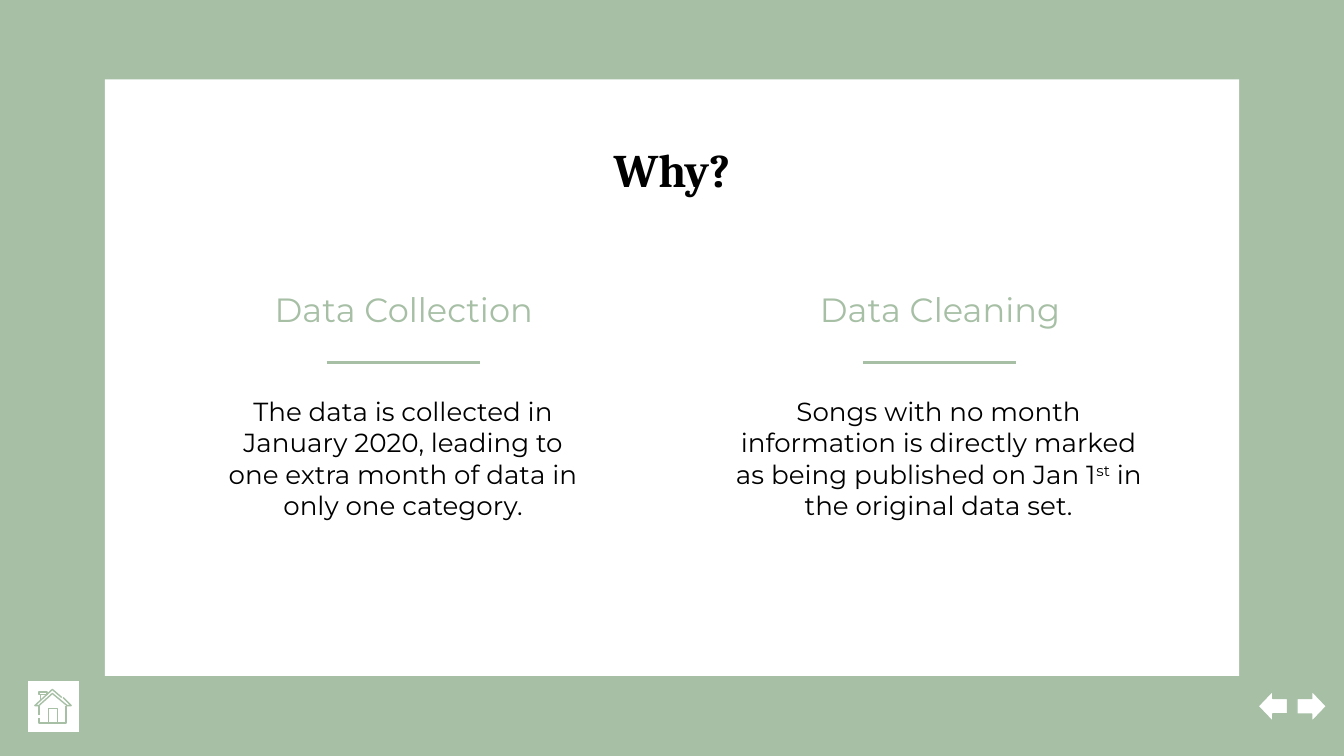
from lxml.etree import SubElement
from pptx import Presentation
from pptx.dml.color import RGBColor
from pptx.enum.shapes import MSO_CONNECTOR, MSO_SHAPE
from pptx.enum.text import MSO_ANCHOR, MSO_AUTO_SIZE, PP_ALIGN
from pptx.oxml.ns import qn
from pptx.util import Inches, Pt

SAGE = RGBColor(0xA6, 0xBF, 0xA5)
WHITE = RGBColor(0xFF, 0xFF, 0xFF)
BLACK = RGBColor(0x00, 0x00, 0x00)

TITLE = {"name": "Cambria", "size": Pt(25), "bold": True}
HEADING = {"name": "Montserrat", "size": Pt(18), "bold": False}
BODY = {"name": "Montserrat", "size": Pt(14), "bold": False}


class StyledPage:
    """The current slide and the style of its elements."""

    def __init__(self, deck):
        self.page = deck.slides.add_slide(deck.slide_layouts[4])
        self.page.background.fill.solid()
        self.page.background.fill.fore_color.rgb = SAGE

    def text(self, index, bounds, spans, style, color, anchor=MSO_ANCHOR.TOP):
        """Fill a placeholder; spans are (words, baseline) pairs."""
        box = self.page.placeholders[index]
        box.left, box.top, box.width, box.height = map(Inches, bounds)
        frame = box.text_frame
        margins = {f"margin_{side}": Inches(0.1)
                   for side in ("left", "top", "right", "bottom")}
        settings = {"word_wrap": True, "auto_size": MSO_AUTO_SIZE.NONE,
                    "vertical_anchor": anchor, **margins}
        for name, value in settings.items():
            setattr(frame, name, value)
        para = frame.paragraphs[0]
        properties = para._p.get_or_add_pPr()
        properties.set("marL", "0")
        properties.set("indent", "0")
        SubElement(properties, qn("a:buNone"))
        para.alignment = PP_ALIGN.CENTER
        para.space_before = Pt(0)
        for words, baseline in spans:
            span = para.add_run()
            span.text = words
            for name, value in style.items():
                setattr(span.font, name, value)
            span.font.color.rgb = color
            if baseline:
                span._r.get_or_add_rPr().set("baseline", str(baseline))

    def shape(self, kind, bounds, outlined=True, rotation=0):
        shape = self.page.shapes.add_shape(kind, *map(Inches, bounds))
        shape.shadow.inherit = False
        shape.rotation = rotation
        shape.fill.solid()
        shape.fill.fore_color.rgb = WHITE
        if outlined:
            shape.line.color.rgb = SAGE
            shape.line.width = Pt(0.75)
        else:
            shape.line.fill.background()
        return shape

    def rule(self, left, right, y):
        line = self.page.shapes.add_connector(
            MSO_CONNECTOR.STRAIGHT, *map(Inches, (left, y, right, y)))
        line.line.color.rgb = SAGE
        line.line.width = Pt(1.5)
        SubElement(line._element.spPr, qn("a:effectLst"))

    def stroke(self, points):
        """Draw an open, unfilled outline through the points."""
        start, *rest = [(Inches(x), Inches(y)) for x, y in points]
        builder = self.page.shapes.build_freeform(*start)
        builder.add_line_segments(rest, close=False)
        outline = builder.convert_to_shape()
        outline.shadow.inherit = False
        outline.fill.background()
        outline.line.color.rgb = SAGE
        outline.line.width = Pt(0.75)


def main():
    # Widescreen page, 16:9
    deck = Presentation()
    deck.slide_width = Inches(10)
    deck.slide_height = Inches(10) * 9 // 16
    slide = StyledPage(deck)

    # White panel, sent behind the text
    panel = slide.shape(MSO_SHAPE.RECTANGLE, (0.78, 0.59, 8.44, 4.44),
                        outlined=False)
    slide.page.shapes._spTree.insert(2, panel._element)

    # Title
    slide.text(0, (0.78, 0.95, 8.44, 0.6), [("Why?", 0)], TITLE, BLACK)

    # Two columns: heading, rule and explanation
    columns = [
        (1, 1.36, "Data Collection", 2.43, 1.55, 2.9,
         [("The data is collected in January 2020, leading to one extra "
           "month of data in only one category.", 0)]),
        (3, 5.35, "Data Cleaning", 6.42, 5.34, 3.29,
         [("Songs with no month information is directly marked as being "
           "published on Jan 1", 0), ("st", 30000),
          (" in the original data set.", 0)]),
    ]
    for index, left, heading, rule_left, body_left, body_width, spans in columns:
        slide.text(index, (left, 2.07, 3.29, 0.48), [(heading, 0)],
                   HEADING, SAGE, MSO_ANCHOR.BOTTOM)
        slide.text(index + 1, (body_left, 2.84, body_width, 1.35), spans,
                   BODY, BLACK)
        slide.rule(rule_left, rule_left + 1.14, 2.7)

    # Back and forward arrows
    for left, rotation in ((9.36, 0), (9.65, 180)):
        slide.shape(MSO_SHAPE.LEFT_ARROW, (left, 5.14, 0.22, 0.23),
                    rotation=rotation)

    # Home button: roof, chimney, walls and door
    slide.shape(MSO_SHAPE.RECTANGLE, (0.2, 5.06, 0.39, 0.39))
    house = [
        [(0.46, 5.19), (0.39, 5.13), (0.26, 5.25), (0.29, 5.25),
         (0.39, 5.16), (0.5, 5.25), (0.53, 5.25), (0.47, 5.19)],
        [(0.3, 5.21), (0.3, 5.17), (0.29, 5.17), (0.29, 5.15),
         (0.35, 5.15), (0.35, 5.17), (0.3, 5.17)],
        [(0.29, 5.25), (0.29, 5.32)],
        [(0.29, 5.34), (0.29, 5.38), (0.49, 5.38), (0.49, 5.25)],
        [(0.36, 5.38), (0.36, 5.27), (0.43, 5.27), (0.43, 5.38)],
    ]
    for points in house:
        slide.stroke(points)

    deck.save("out.pptx")


if __name__ == "__main__":
    main()
